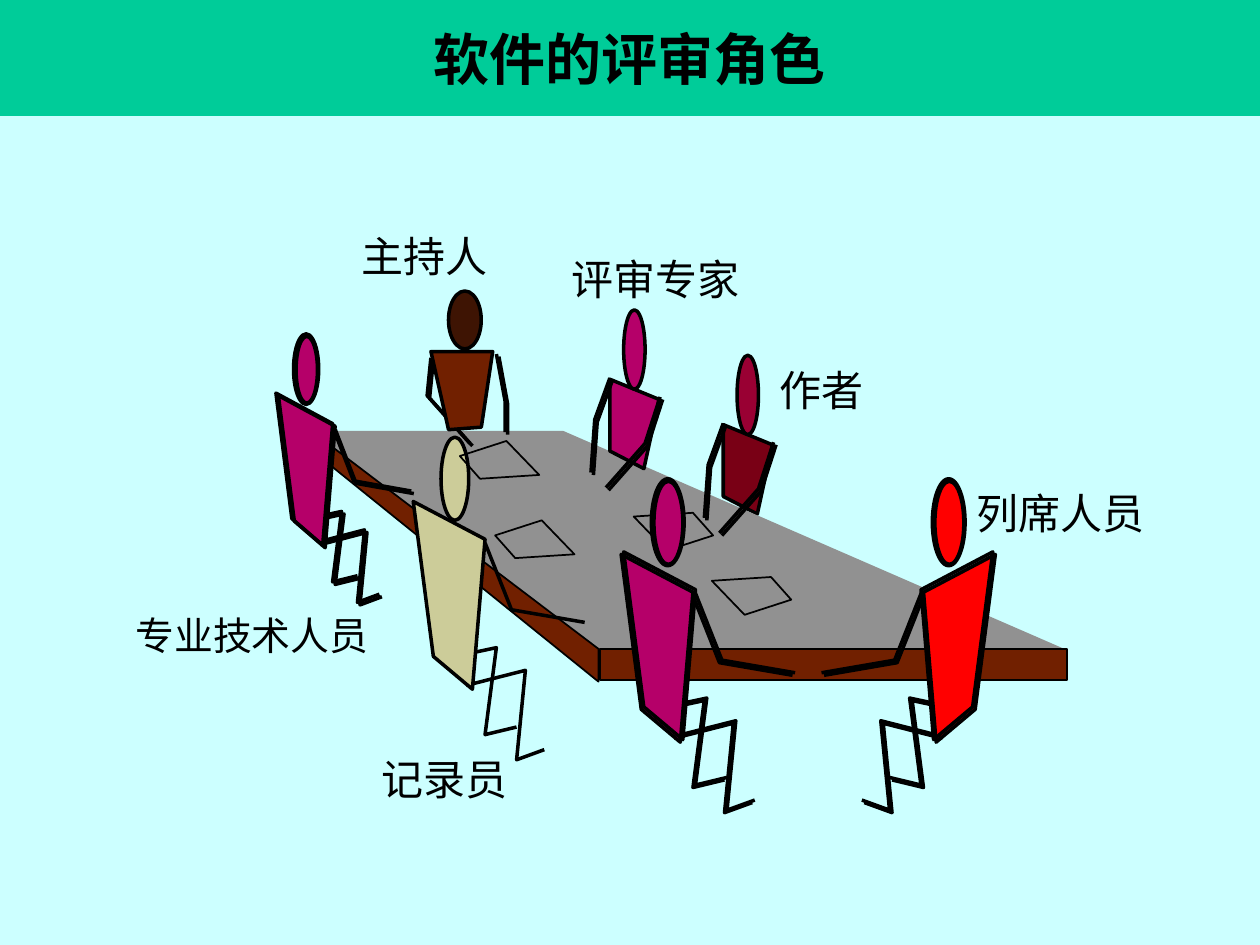
from pptx import Presentation
from pptx.dml.color import RGBColor
from pptx.enum.shapes import MSO_SHAPE
from pptx.enum.text import MSO_ANCHOR, PP_ALIGN
from pptx.util import Inches, Pt

BLACK = RGBColor(0x00, 0x00, 0x00)
PALE_BLUE = RGBColor(0xCC, 0xFF, 0xFF)
GREEN = RGBColor(0x00, 0xCC, 0x99)
GREY = RGBColor(0x91, 0x91, 0x91)
BROWN = RGBColor(0x71, 0x20, 0x00)
DARK_BROWN = RGBColor(0x3E, 0x14, 0x03)
MAROON = RGBColor(0x79, 0x00, 0x15)
CRIMSON = RGBColor(0x99, 0x00, 0x33)
MAGENTA = RGBColor(0xB5, 0x00, 0x69)
KHAKI = RGBColor(0xCC, 0xCC, 0x99)
RED = RGBColor(0xFF, 0x00, 0x00)

# Figure seated with its back to the viewer, measured from the outer shoulder
LEGS = [
    [(0.19, 1.26), (0.66, 1.16), (0.57, 1.85), (0.82, 1.79)],
    [(0.42, 1.46), (0.89, 1.34), (0.82, 2.05), (1.04, 1.97)],
]
TORSO = [(0.16, 1.23), (0, 0), (0.57, 0.3), (0.47, 1.49)]
ARM = [(0.57, 0.33), (0.78, 0.86), (1.36, 0.96)]

# Figure facing the viewer, measured from the shoulder
FACING_TORSO = [(0, 0.57), (0, 0), (0.39, 0.16), (0.27, 0.71)]
FACING_ARMS = [
    [(0.42, 0.16), (0.3, 0.53), (-0.01, 0.88)],
    [(0.02, 0.01), (-0.1, 0.34), (-0.13, 0.76)],
]

PAPER = [(0.47, 0), (0, 0.03), (0.26, 0.3), (0.63, 0.18)]
TURNED_PAPER = [(0.63 - x, 0.3 - y) for x, y in PAPER]


def place(points, left, top, x_scale=1, y_scale=1):
    return [(left + x * x_scale, top + y * y_scale) for x, y in points]


class ReviewSlide:
    text_font = "Arial"
    title_font = "Times New Roman"
    stroke = 2
    echo = 0.02  # offset of the second stroke of a bold outline

    def __init__(self, presentation):
        self.slide = presentation.slides.add_slide(presentation.slide_layouts[5])
        self.slide.background.fill.solid()
        self.slide.background.fill.fore_color.rgb = PALE_BLUE

    def paint(self, shape, fill, stroke):
        shape.shadow.inherit = False
        if fill is None:
            shape.fill.background()
        else:
            shape.fill.solid()
            shape.fill.fore_color.rgb = fill
        if stroke:
            shape.line.color.rgb = BLACK
            shape.line.width = Pt(stroke)
        else:
            shape.line.fill.background()

    def set_text(self, frame, text, font, size, align, bold=False):
        frame.text = text
        frame.word_wrap = True
        paragraph = frame.paragraphs[0]
        paragraph.alignment = align
        run_font = paragraph.runs[0].font
        run_font.name = font
        run_font.size = Pt(size)
        run_font.bold = bold
        run_font.color.rgb = BLACK
        return paragraph

    def title(self, text):
        banner = self.slide.shapes.title
        banner.left, banner.top = Inches(0), Inches(0)
        banner.width, banner.height = Inches(10), Inches(0.92)
        banner.fill.solid()
        banner.fill.fore_color.rgb = GREEN
        banner.text_frame.vertical_anchor = MSO_ANCHOR.MIDDLE
        self.set_text(banner.text_frame, text, self.title_font, 32,
                      PP_ALIGN.CENTER, True)

    def label(self, text, left, top, width, height=0.61, size=24,
              align=PP_ALIGN.JUSTIFY):
        box = self.slide.shapes.add_textbox(
            Inches(left), Inches(top), Inches(width), Inches(height))
        return self.set_text(box.text_frame, text, self.text_font, size, align)

    def preset(self, kind, left, top, width, height, fill, stroke=stroke):
        shape = self.slide.shapes.add_shape(
            kind, Inches(left), Inches(top), Inches(width), Inches(height))
        self.paint(shape, fill, stroke)

    def outline(self, points, fill=None, stroke=stroke, closed=False):
        corners = [(Inches(x), Inches(y)) for x, y in points]
        builder = self.slide.shapes.build_freeform(*corners[0])
        builder.add_line_segments(corners[1:], close=closed)
        self.paint(builder.convert_to_shape(), fill, stroke)

    def bold_outline(self, points, side=-1, fill=None, closed=False):
        self.outline(points, fill, closed=closed)
        self.outline(place(points, side * self.echo, -self.echo), closed=closed)

    def head(self, left, top, width, height, fill):
        self.preset(MSO_SHAPE.OVAL, left, top, width, height, fill)

    def seated(self, left, top, head, fill, scale=(1, 1), side=0):
        """Figure seen from behind; side shifts the second stroke, 0 omits it."""
        def draw(points, **style):
            points = place(points, left, top, *scale)
            if side:
                self.bold_outline(points, side, **style)
            else:
                self.outline(points, **style)

        for leg in LEGS:
            draw(leg)
        draw(TORSO, fill=fill, closed=True)
        self.head(*head, fill)
        if side:
            x, y, width, height = head
            self.head(x - 0.02, y - 0.02, width + 0.03, height + 0.03, None)
        draw(ARM)

    def facing_torso(self, left, top, fill):
        self.outline(place(FACING_TORSO, left, top), fill, closed=True)

    def facing_head_and_arms(self, left, top, fill):
        self.head(left + 0.11, top - 0.55, 0.17, 0.63, fill)
        for arm in FACING_ARMS:
            self.bold_outline(place(arm, left, top))


def main():
    presentation = Presentation()
    presentation.slide_width, presentation.slide_height = Inches(10), Inches(7.5)
    review = ReviewSlide(presentation)
    review.title("软件的评审角色")

    # Author's torso stands behind the table
    author, expert = (5.74, 3.37), (4.84, 3.01)
    review.facing_torso(*author, MAROON)

    # Table: top, front edge, left edge
    review.outline([(2.47, 3.42), (4.47, 3.42), (8.47, 5.16), (4.75, 5.16)],
                   GREY, stroke=0, closed=True)
    review.preset(MSO_SHAPE.RECTANGLE, 4.76, 5.15, 3.71, 0.25, BROWN, stroke=1)
    review.outline([(4.75, 5.15), (2.47, 3.42), (2.47, 3.57), (4.75, 5.41)],
                   BROWN, stroke=1, closed=True)

    # Recorder and observer
    review.seated(3.28, 3.98, (3.5, 3.47, 0.22, 0.66), KHAKI)
    review.seated(7.9, 4.4, (7.42, 3.82, 0.23, 0.66), RED, scale=(-1, 1), side=-1)

    # Moderator
    review.bold_outline([(3.44, 2.86), (3.41, 3.16), (3.75, 3.54)])
    review.bold_outline([(3.96, 2.83), (4.03, 3.21), (4.03, 3.45)])
    review.head(3.56, 2.31, 0.26, 0.46, DARK_BROWN)
    review.outline([(3.42, 2.79), (3.91, 2.79), (3.82, 3.39), (3.56, 3.41)],
                   BROWN, closed=True)

    # Author and expert
    review.facing_head_and_arms(*author, CRIMSON)
    review.facing_torso(*expert, MAGENTA)
    review.facing_head_and_arms(*expert, MAGENTA)

    # Papers on the table
    for sheet, left, top in [(TURNED_PAPER, 3.93, 4.13), (PAPER, 5.65, 4.58),
                             (PAPER, 5.03, 4.07), (TURNED_PAPER, 3.65, 3.5)]:
        review.outline(place(sheet, left, top), stroke=1, closed=True)

    # Technician and the second expert in front
    review.seated(2.21, 3.14, (2.35, 2.67, 0.17, 0.53), MAGENTA,
                  scale=(0.79, 0.81), side=-1)
    review.seated(4.93, 4.4, (5.19, 3.82, 0.23, 0.66), MAGENTA, side=1)

    # Role names
    for role, left, top, width in [("主持人", 2.77, 1.78, 1.5),
                                   ("评审专家", 4.44, 1.96, 1.85),
                                   ("作者", 6.09, 2.84, 1.1),
                                   ("列席人员", 7.65, 3.82, 1.88),
                                   ("记录员", 2.93, 5.93, 1.49)]:
        review.label(role, left, top, width)
    technician = review.label("专业技术人员", 0.67, 4.85, 2.66, 0.49, 22.2,
                              PP_ALIGN.CENTER)
    technician.line_spacing = 0.9

    presentation.save("out.pptx")


if __name__ == "__main__":
    main()
